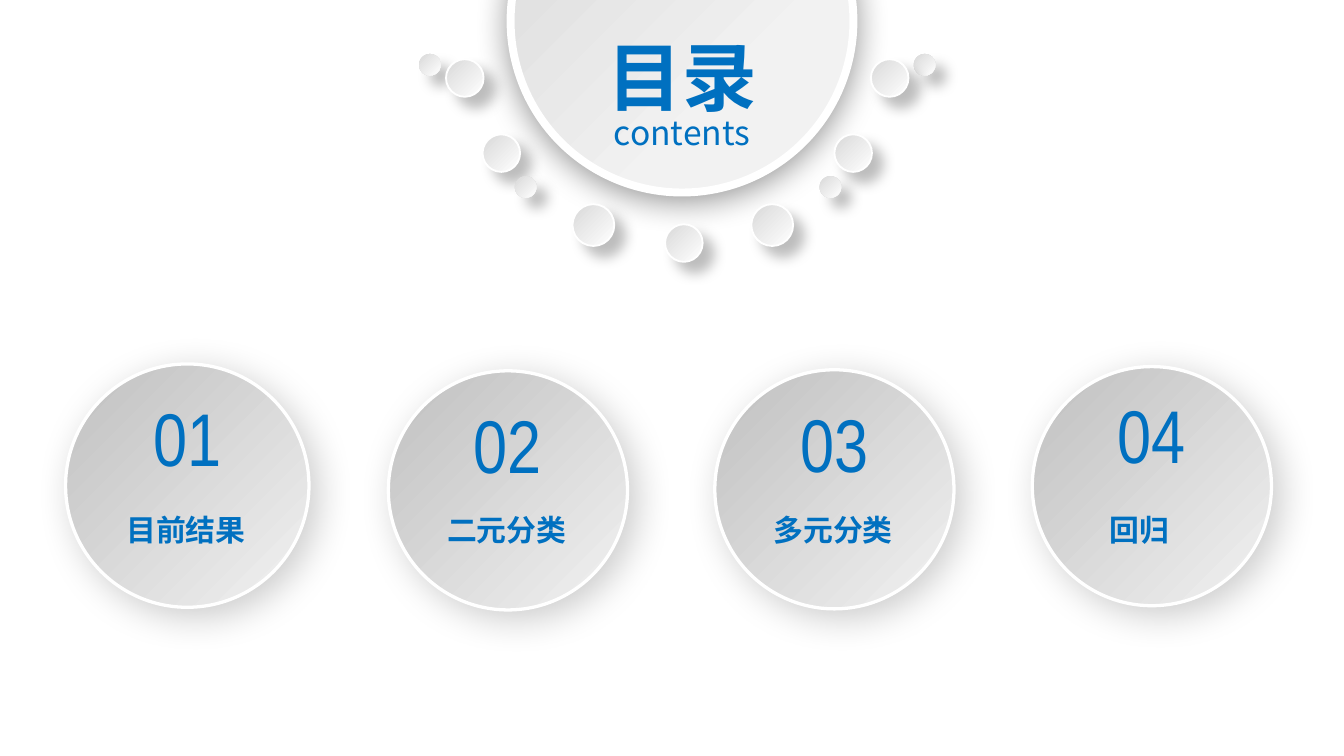
from lxml import etree
from pptx import Presentation
from pptx.dml.color import RGBColor
from pptx.enum import shapes, text
from pptx.oxml import parse_xml
from pptx.oxml.ns import nsdecls, qn
from pptx.util import Cm, Pt

HUES = {"blue": "0070C0", "white": "FFFFFF", "black": "000000",
        "gray": "BFBFBF", "mid": "D9D9D9", "pale": "F2F2F2"}
CJK = "Noto Sans CJK SC"


def hue(name):
    return RGBColor.from_string(HUES[name])


def write(par, words, size, font=CJK, bold=False, align=None, space=None):
    par.alignment = align
    par.line_spacing = space
    run = par.add_run()
    run.text = words
    run.font.size = Pt(size)
    run.font.name = font
    run.font.bold = bold
    run.font.color.rgb = hue("blue")
    etree.SubElement(run._r.get_or_add_rPr(), qn("a:ea")).set("typeface", CJK)


def label(slide, box, words, size, inset=0.25, **form):
    """Add a one-line text box; inset is its left margin in cm."""
    item = slide.shapes.add_textbox(*map(Cm, box))
    frame = item.text_frame
    frame.word_wrap = True
    frame.margin_left = Cm(inset)
    write(frame.paragraphs[0], words, size, **form)


def shade(disc, alpha, blur, dist, angle):
    """Give a shape an outer shadow: percent, points, points, degrees."""
    disc.shadow.inherit = False
    glow = disc._element.spPr.find(qn("a:effectLst"))
    glow.append(parse_xml(
        f'<a:outerShdw {nsdecls("a")} blurRad="{Pt(blur)}" dist="{Pt(dist)}" '
        f'dir="{angle * 60000}" algn="ctr" rotWithShape="0">'
        f'<a:srgbClr val="{HUES["black"]}"><a:alpha val="{alpha * 1000}"/>'
        f'</a:srgbClr></a:outerShdw>'))


def ball(slide, x, y, size, tones, line, shadow, start=0):
    disc = slide.shapes.add_shape(shapes.MSO_SHAPE.OVAL, Cm(x), Cm(y),
                                  Cm(size), Cm(size))
    disc.fill.gradient()
    disc.fill.gradient_angle = 315
    for stop, tone, place in zip(disc.fill.gradient_stops, tones, (start, 1)):
        stop.color.rgb = hue(tone)
        stop.position = place
    if line:
        disc.line.color.rgb = hue("white")
        disc.line.width = Pt(line)
    else:
        disc.line.fill.background()
    shade(disc, *shadow)
    return disc


def head(slide, x, y, size):
    """Draw the large disc with the slide title on it."""
    disc = ball(slide, x, y, size, ("pale", "mid"), 4.25, (40, 17, 3, 90), 0.31)
    grad = disc._element.spPr.find(qn("a:gradFill"))
    grad.replace(grad.find(qn("a:lin")), parse_xml(
        f'<a:path {nsdecls("a")} path="circle">'
        '<a:fillToRect l="100000" t="100000"/></a:path>'))

    title = slide.shapes.title
    wide = 3.35
    title.left, title.top = Cm(x + (size - wide) / 2), Cm(y + 3.62)
    title.width, title.height = Cm(wide), Cm(2.74)
    disc._element.addnext(title._element)
    frame = title.text_frame
    frame.word_wrap = False
    frame.auto_size = text.MSO_AUTO_SIZE.NONE
    frame.vertical_anchor = text.MSO_ANCHOR.TOP
    mid = text.PP_ALIGN.CENTER
    write(frame.paragraphs[0], "目录", 40, bold=True, align=mid, space=0.8)
    write(frame.add_paragraph(), "contents", 18, align=mid, space=0.8)


def beads(slide):
    """Draw the string of small balls below the title disc."""
    rows = [((7.92, 17.27), 1.02, 0.41), ((8.43, 16.46), 1.12, 0.71),
            ((9.12, 15.77), 2.54, 0.71), ((9.73, 15.49), 3.33, 0.41),
            ((10.82, 14.2), 3.86, 0.79), ((12.57,), 4.24, 0.71)]
    for spots, y, size in rows:
        for x in spots:
            ball(slide, x, y, size, ("mid", "white"), 1 if size > 0.5 else 0,
                 (25, 7, 8, 45))


def topic(slide, x, y, size, num, name, drop=0.4, inset=0.74):
    """Draw one numbered disc; drop is the gap above its number."""
    ball(slide, x, y, size, ("gray", "pale"), 1.75, (20, 20, 6, 45))
    mid = x + size / 2
    label(slide, (mid - 1.05, y + drop, 2.1, 1.96), num, 40,
          font="Arial Narrow", align=text.PP_ALIGN.CENTER)
    label(slide, (mid - 1.89, 9.37, 3.78, 1), name, 16, inset,
          font="Arial", bold=True, space=Pt(24))


def main():
    deck = Presentation()
    deck.slide_width, deck.slide_height = Cm(25.4), Cm(14.29)
    slide = deck.slides.add_slide(deck.slide_layouts[5])
    topic(slide, 1.24, 6.88, 4.6, "01", "目前结果")
    topic(slide, 7.34, 7.01, 4.52, "02", "二元分类")
    topic(slide, 13.51, 6.99, 4.52, "03", "多元分类")
    topic(slide, 19.51, 6.93, 4.52, "04", "回归", drop=0.3, inset=1.09)
    head(slide, 9.65, -2.84, 6.48)
    beads(slide)
    deck.save("out.pptx")


if __name__ == "__main__":
    main()
